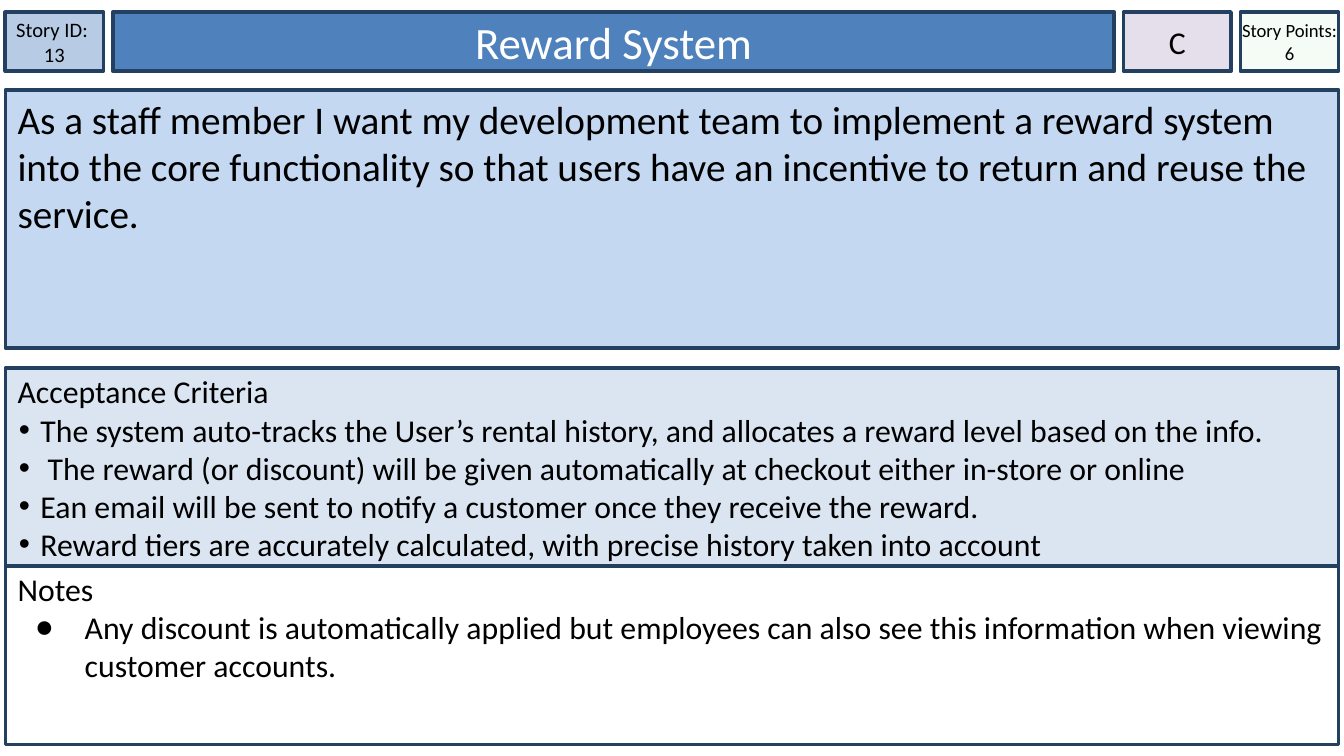
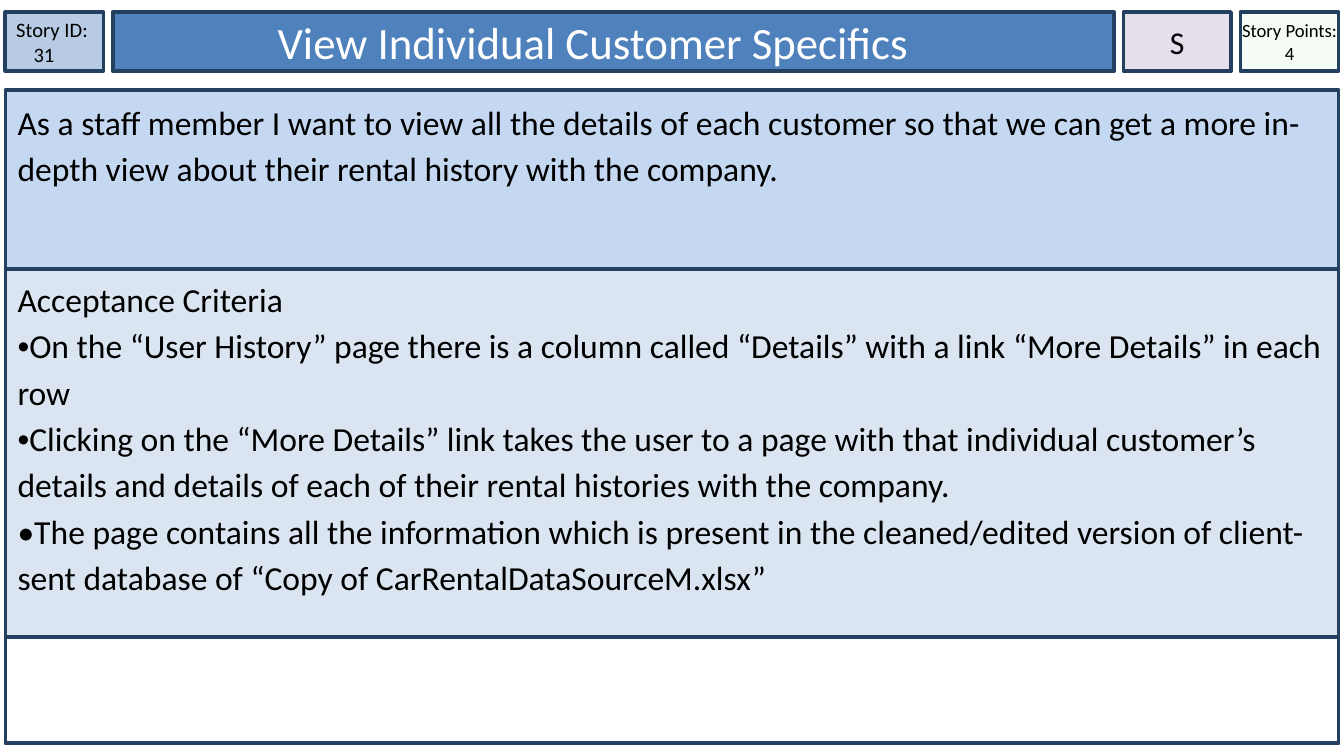
from lxml.etree import SubElement
from pptx import Presentation
from pptx.dml.color import RGBColor
from pptx.enum.shapes import MSO_SHAPE
from pptx.enum.text import MSO_ANCHOR, PP_ALIGN
from pptx.oxml.ns import qn
from pptx.util import Inches, Pt

COLORS = {
    "line": "244061", "text": "000000", "white": "FFFFFF", "id": "B7CCE4",
    "title": "4F81BD", "priority": "E5DFEC", "points": "CCF0CD",
    "story": "C5D8F1", "criteria": "DAE5F1",
}
LEFT, WIDTH = 0.04, 9.92
HEADER_TOP, HEADER_HEIGHT = 0.09, 0.44
HEADER = {"align": PP_ALIGN.CENTER, "anchor": MSO_ANCHOR.MIDDLE, "margins": (0, 0.04, 0, 0.04)}
BODY = {"align": PP_ALIGN.LEFT, "anchor": MSO_ANCHOR.TOP, "margins": (0.09, 0.03, 0.09, 0.04)}
STORY = {**BODY, "margins": (0.09, 0.04, 0.09, 0.04)}


def add_box(s, at, fill, paragraphs, size, style, spacing=1.0, color="text"):
    """Draw a bordered box; a paragraph is text or (text, format values)."""
    sp = s.shapes.add_shape(MSO_SHAPE.RECTANGLE, *map(Inches, at))
    sp.shadow.inherit = False
    sp.fill.solid()
    sp.fill.fore_color.rgb = RGBColor.from_string(COLORS[fill])
    sp.line.color.rgb = RGBColor.from_string(COLORS["line"])
    sp.line.width = Pt(2)
    tf = sp.text_frame
    tf.word_wrap = True
    tf.vertical_anchor = style["anchor"]
    for side, margin in zip(("left", "top", "right", "bottom"), style["margins"]):
        setattr(tf, f"margin_{side}", Inches(margin))
    for i, item in enumerate(paragraphs):
        text, extra = (item, {}) if isinstance(item, str) else item
        p = tf.add_paragraph() if i else tf.paragraphs[0]
        p.alignment = extra.get("align", style["align"])
        p.line_spacing = spacing
        if "indent" in extra:
            margin, first = extra["indent"]
            pPr = p._p.get_or_add_pPr()
            pPr.set("marL", str(Inches(margin)))
            pPr.set("indent", str(Inches(first)))
            if "bullet" in extra:
                SubElement(pPr, qn("a:buFont"), typeface="Arial")
                SubElement(pPr, qn("a:buChar"), char=extra["bullet"])
        runs = [(text, "Calibri")]
        if "mark" in extra:
            runs.insert(0, (extra["mark"], "Arial"))
        for run_text, font in runs:
            r = p.add_run()
            r.text = run_text
            for name, value in {"name": font, "size": Pt(size)}.items():
                setattr(r.font, name, value)
            r.font.color.rgb = RGBColor.from_string(COLORS[color])
    return sp


HANGING = {"bullet": "•", "indent": (0.17, -0.16)}
INLINE = {"mark": "•"}

cards = [
    {
        "id": "13", "title": "Reward System", "priority": "C", "points": "6",
        "panels": [
            ("story", 0.67, 1.92, 21, STORY, [
                "As a staff member I want my development team to implement a reward system into the "
                "core functionality so that users have an incentive to return and reuse the service.",
            ]),
            ("criteria", 2.74, 1.57, 17, BODY, [
                "Acceptance Criteria",
                ("The system auto-tracks the User’s rental history, and allocates a reward level "
                 "based on the info.", HANGING),
                (" The reward (or discount) will be given automatically at checkout either in-store "
                 "or online", HANGING),
                ("Ean email will be sent to notify a customer once they receive the reward.", HANGING),
                ("Reward tiers are accurately calculated, with precise history taken into account",
                 HANGING),
            ]),
            ("white", 4.21, 1.33, 17, BODY, [
                "Notes",
                ("Any discount is automatically applied but employees can also see this information "
                 "when viewing customer accounts.", {"bullet": "●", "indent": (0.5, -0.37)}),
            ]),
        ],
    },
    {
        "id": ("31", {"align": PP_ALIGN.LEFT, "indent": (0.21, 0)}),
        "title": "View Individual Customer Specifics", "title_right": 0.4,
        "priority": "S", "points": "4", "spacing": 1.15,
        "panels": [
            ("story", 0.67, 1.33, 18, STORY, [
                "As a staff member I want to view all the details of each customer so that we can get "
                "a more in-depth view about their rental history with the company.",
            ]),
            ("criteria", 2, 2.74, 18, BODY, [
                "Acceptance Criteria",
                ("On the “User History” page there is a column called “Details” with a link "
                 "“More Details” in each row", INLINE),
                ("Clicking on the “More Details” link takes the user to a page with that individual "
                 "customer’s details and details of each of their rental histories with the company.",
                 INLINE),
                "•The page contains all the information which is present in the cleaned/edited version "
                "of client-sent database of “Copy of CarRentalDataSourceM.xlsx”",
            ]),
            ("white", 4.74, 0.79, 18, BODY, []),
        ],
    },
]

prs = Presentation()
prs.slide_width = Inches(10)
prs.slide_height = Inches(10) * 9 // 16

for card in cards:
    s = prs.slides.add_slide(prs.slide_layouts[6])

    title_style = {**HEADER, "margins": (0.09, 0.04, card.get("title_right", 0.09), 0.04)}
    header = [
        ("id", LEFT, 0.73, ["Story ID: ", card["id"]], 11, HEADER, "text"),
        ("title", 0.84, 7.45, [card["title"]], 24, title_style, "white"),
        ("priority", 8.36, 0.8, [card["priority"]], 17, HEADER, "text"),
        ("points", 9.23, 0.73, [f"Story Points: {card['points']}"], 10, HEADER, "text"),
    ]
    for fill, left, width, paragraphs, size, style, color in header:
        sp = add_box(s, (left, HEADER_TOP, width, HEADER_HEIGHT), fill, paragraphs, size, style,
                     color=color)
        if fill == "points":
            srgb = sp.fill._xPr.find(qn("a:solidFill")).find(qn("a:srgbClr"))
            SubElement(srgb, qn("a:alpha"), val="20000")

    for fill, top, height, size, style, paragraphs in card["panels"]:
        add_box(s, (LEFT, top, WIDTH, height), fill, paragraphs, size, style,
                spacing=card.get("spacing", 1.0))

prs.save("out.pptx")
